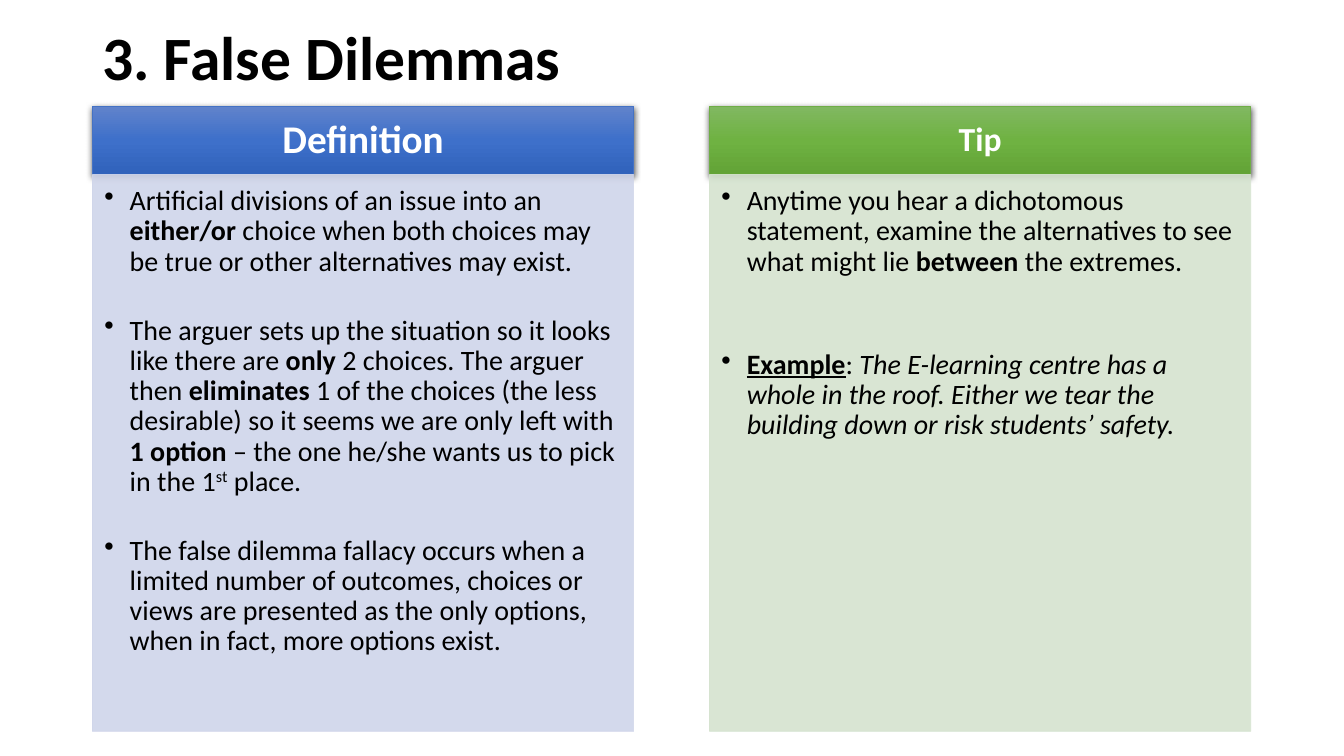
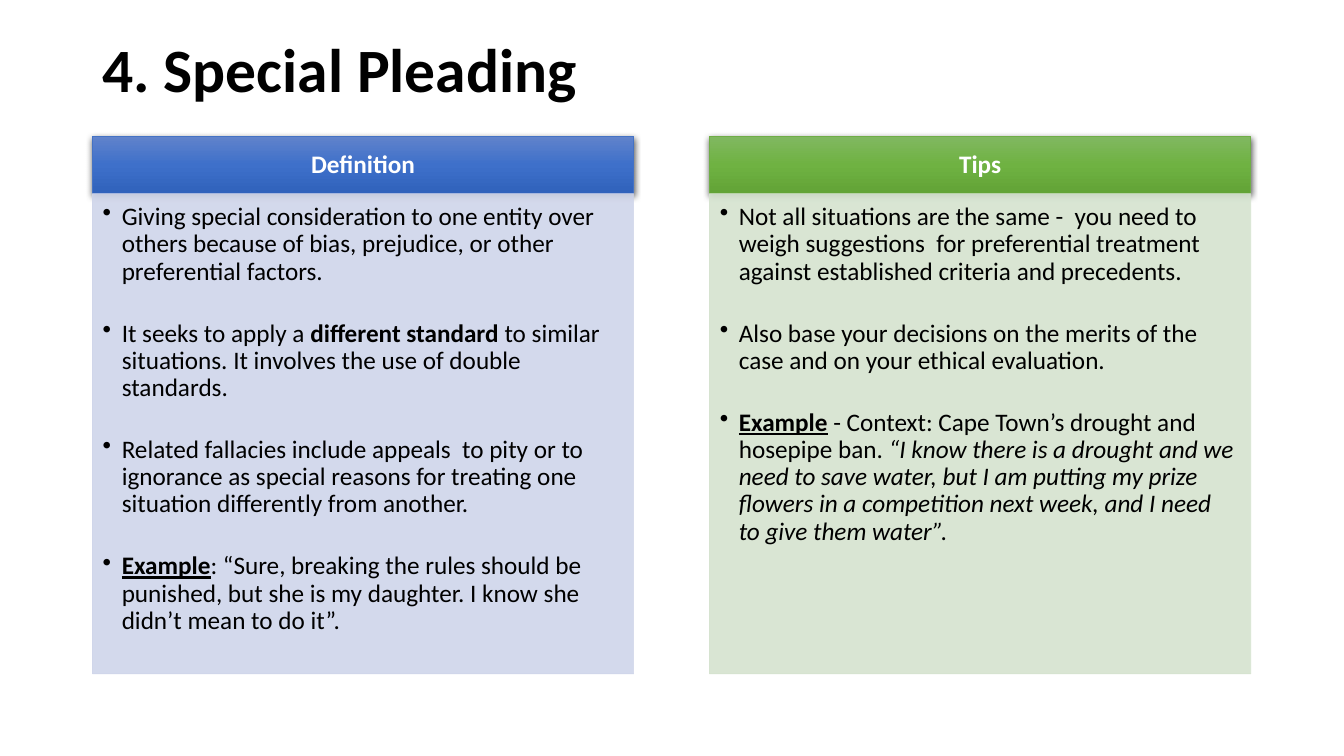
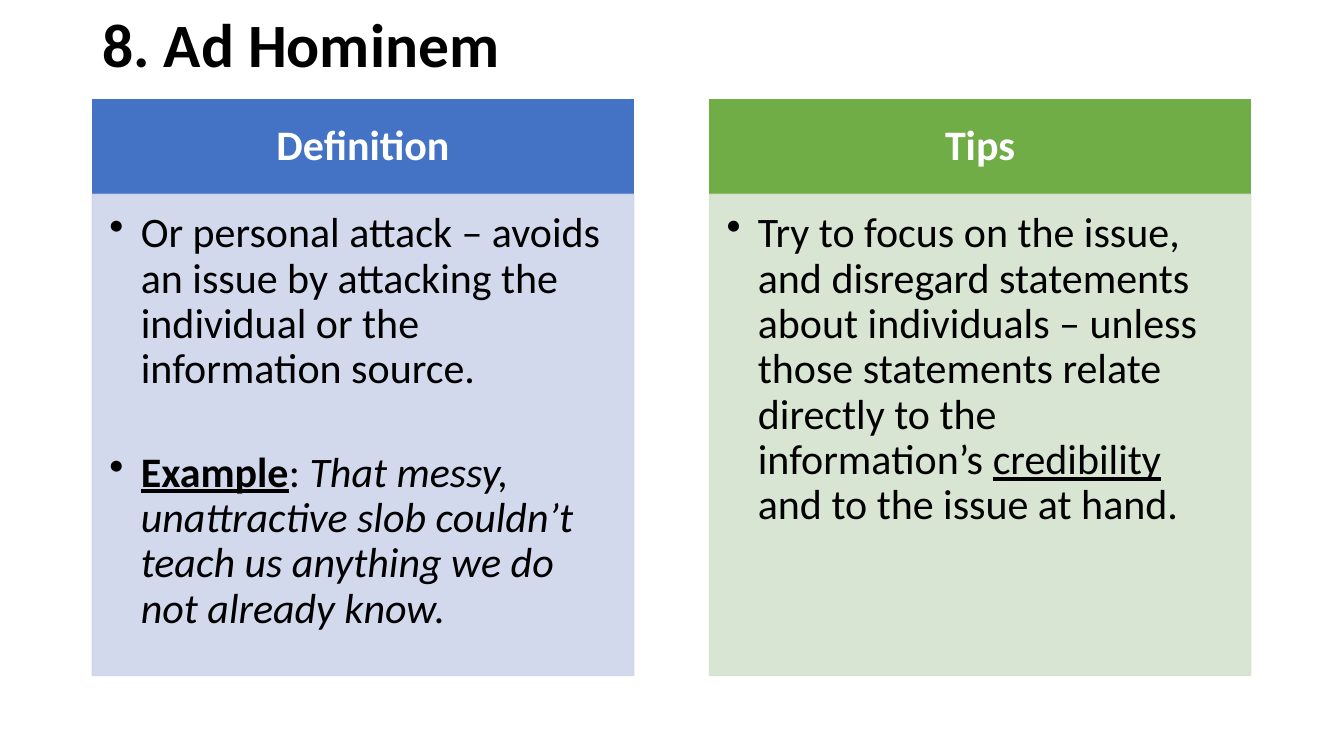
"""Builds three slides that set a fallacy's definition beside tips for spotting it."""
from copy import deepcopy

from lxml import etree
from pptx import Presentation
from pptx.dml.color import RGBColor
from pptx.enum.shapes import MSO_SHAPE
from pptx.enum.text import MSO_ANCHOR, PP_ALIGN
from pptx.oxml.ns import qn
from pptx.util import Cm, Pt

RECTANGLE = MSO_SHAPE.RECTANGLE
TOP, MIDDLE = MSO_ANCHOR.TOP, MSO_ANCHOR.MIDDLE
LEFT, CENTER = PP_ALIGN.LEFT, PP_ALIGN.CENTER

BLUE = {"main": "4472C4", "pale": "CFD5EA", "shades": ("6183CB", "3E70CA", "3062BB")}
GREEN = {"main": "70AD47", "pale": "D5E3CF", "shades": ("81B861", "6FB242", "62A336")}

FORMATS = {
    "plain": {},
    "bold": {"bold": True},
    "italic": {"italic": True},
    "underline": {"underline": True},
    "label": {"bold": True, "underline": True},
    "superscript": {},
}


def color(hex_code):
    return RGBColor.from_string(hex_code)


def add_xml(parent, tag, **attributes):
    return etree.SubElement(parent, qn(tag), attributes)


class Deck:
    FONT = "Calibri"
    BLACK, WHITE = "000000", "FFFFFF"
    MARGIN, COLUMN_WIDTH, COLUMN_STEP = 2.33, 13.64, 15.55
    TITLE_WIDTH, TITLE_SIZE = 29.21, 44
    LINE_SPACING = 0.9

    def __init__(self):
        self.presentation = Presentation()
        self.presentation.slide_width = Cm(33.87)
        self.presentation.slide_height = Cm(19.05)
        self.slide = None

    def new_slide(self, title, top, height):
        self.slide = self.presentation.slides.add_slide(self.presentation.slide_layouts[6])
        heading = self.slide.shapes.add_textbox(
            Cm(self.MARGIN), Cm(top), Cm(self.TITLE_WIDTH), Cm(height))
        self.frame(heading, MIDDLE)
        self.add_runs(heading.text_frame.paragraphs[0], [(title, "bold")],
                      self.TITLE_SIZE, self.BLACK)

    def frame(self, shape, anchor, **margins):
        settings = {"word_wrap": True, "vertical_anchor": anchor, **margins}
        for name, value in settings.items():
            setattr(shape.text_frame, name, value)

    def add_runs(self, paragraph, parts, size, text_color, align=LEFT):
        paragraph.alignment = align
        paragraph.line_spacing = self.LINE_SPACING
        for part in parts:
            text, style = (part, "plain") if isinstance(part, str) else part
            run = paragraph.add_run()
            run.text = text
            settings = {"name": self.FONT, "size": Pt(size), **FORMATS[style]}
            for name, value in settings.items():
                setattr(run.font, name, value)
            run.font.color.rgb = color(text_color)
            if style == "superscript":
                run.font._element.set("baseline", "30000")

    def panel(self, left, top, height, fill, line_width):
        panel = self.slide.shapes.add_shape(
            RECTANGLE, Cm(left), Cm(top), Cm(self.COLUMN_WIDTH), Cm(height))
        panel.shadow.inherit = False
        panel.fill.solid()
        panel.fill.fore_color.rgb = color(fill)
        panel.line.color.rgb = color(fill)
        panel.line.width = Pt(line_width)
        return panel

    def shade(self, panel, shades):
        panel.fill.gradient()
        panel.fill.gradient_angle = 270
        properties = panel._element.spPr
        stops = properties.find(".//" + qn("a:gsLst"))
        stops.insert(1, deepcopy(stops[0]))
        for index, (stop, shade) in enumerate(zip(panel.fill.gradient_stops, shades)):
            stop.position = index / 2
            stop.color.rgb = color(shade)
        shadow = add_xml(properties.find(qn("a:effectLst")), "a:outerShdw",
                         blurRad=str(Pt(4.5)), dist=str(Pt(1.5)), dir="5400000",
                         algn="ctr", rotWithShape="0")
        add_xml(add_xml(shadow, "a:srgbClr", val=self.BLACK), "a:alpha", val="63000")

    def header(self, text, left, palette, size, layout):
        band = self.panel(left, layout["top"], layout["header"], palette["main"], layout["line"])
        if layout["shaded"]:
            self.shade(band, palette["shades"])
        self.frame(band, MIDDLE)
        self.add_runs(band.text_frame.paragraphs[0], [(text, "bold")], size, self.WHITE, CENTER)

    def bullets(self, items, left, palette, gap, layout):
        body = self.panel(left, layout["top"] + layout["header"], layout["body"],
                          palette["pale"], layout["line"])
        for tint in body._element.spPr.iter(qn("a:srgbClr")):
            add_xml(tint, "a:alpha", val="90000")
        inset, indent, size = layout["inset"], Cm(layout["indent"]), layout["size"]
        self.frame(body, TOP, margin_left=Cm(inset), margin_top=Cm(inset),
                   margin_right=Cm(inset * 4 / 3), margin_bottom=Cm(inset * 3 / 2))
        for index, parts in enumerate(items):
            paragraph = body.text_frame.paragraphs[0] if index == 0 \
                else body.text_frame.add_paragraph()
            properties = paragraph._p.get_or_add_pPr()
            properties.set("marL", str(indent))
            properties.set("indent", str(-indent))
            add_xml(properties, "a:buChar", char="•")
            if index:
                paragraph.space_before = Pt(round(size * gap, 1))
            self.add_runs(paragraph, parts, size, self.BLACK)

    def columns(self, columns, layout):
        for index, (column, palette) in enumerate(zip(columns, (BLUE, GREEN))):
            left = self.MARGIN + index * self.COLUMN_STEP
            self.header(column["heading"], left, palette,
                        column.get("heading_size", layout["size"]), layout)
            self.bullets(column["items"], left, palette, column.get("gap", 1.38), layout)

    def save(self):
        self.presentation.save("out.pptx")


FALLACIES = [
    {
        "title": ("3. False Dilemmas", 0, 3.07),
        "layout": {"top": 2.68, "header": 1.72, "body": 14.03, "size": 20, "inset": 0.3,
                   "indent": 0.64, "line": 0.5, "shaded": True},
        "columns": [
            {"heading": "Definition", "heading_size": 28, "items": [
                ["Artificial divisions of an issue into an ", ("either/or", "bold"),
                 " choice when both choices may be true or other alternatives may exist."],
                ["The arguer sets up the situation so it looks like there are ",
                 ("only", "bold"), " 2 choices. The arguer then ", ("eliminates", "bold"),
                 " 1 of the choices (the less desirable) so it seems we are only left with ",
                 ("1 option ", "bold"), "– the one he/she wants us to pick in the 1",
                 ("st", "superscript"), " place."],
                ["The false dilemma fallacy occurs when a limited number of outcomes, choices "
                 "or views are presented as the only options, when in fact, more options exist."],
            ]},
            {"heading": "Tip", "heading_size": 24, "gap": 2.6, "items": [
                ["Anytime you hear a dichotomous statement, examine the alternatives to see "
                 "what might lie ", ("between", "bold"), " the extremes."],
                [("Example", "label"), ": ",
                 ("The E-learning centre has a whole in the roof. Either we tear the building "
                  "down or risk students’ safety.", "italic")],
            ]},
        ],
    },
    {
        "title": ("4. Special Pleading", 0.43, 2.82),
        "layout": {"top": 3.43, "header": 1.45, "body": 12.1, "size": 18, "inset": 0.26,
                   "indent": 0.48, "line": 0.5, "shaded": True},
        "columns": [
            {"heading": "Definition", "items": [
                ["Giving special consideration to one entity over others because of bias, "
                 "prejudice, or other preferential factors."],
                ["It seeks to apply a ", ("different standard ", "bold"),
                 "to similar situations. It involves the use of double standards."],
                ["Related fallacies include appeals  to pity or to ignorance as special reasons "
                 "for treating one situation differently from another."],
                [("Example", "label"),
                 ": “Sure, breaking the rules should be punished, but she is my daughter. "
                 "I know she didn’t mean to do it”."],
            ]},
            {"heading": "Tips", "items": [
                ["Not all situations are the same -  you need to weigh suggestions  for "
                 "preferential treatment against established criteria and precedents."],
                ["Also base your decisions on the merits of the case and on your ethical "
                 "evaluation."],
                [("Example", "label"), " - Context: Cape Town’s drought and hosepipe ban. ",
                 ("“I know there is a drought and we need to save water, but I am putting my "
                  "prize flowers in a competition next week, and I need to give them water”.",
                  "italic")],
            ]},
        ],
    },
    {
        "title": ("8. Ad Hominem", 0, 2.39),
        "layout": {"top": 2.51, "header": 2.39, "body": 12.12, "size": 30, "inset": 0.43,
                   "indent": 0.79, "line": 1, "shaded": False},
        "columns": [
            {"heading": "Definition", "items": [
                ["Or personal attack – avoids an issue by attacking the individual or the "
                 "information source."],
                [("Example", "label"), ": ",
                 ("That messy, unattractive slob couldn’t teach us anything we do not already "
                  "know.", "italic")],
            ]},
            {"heading": "Tips", "items": [
                ["Try to focus on the issue, and disregard statements about individuals – "
                 "unless those statements relate directly to the information’s ",
                 ("credibility", "underline"), " and to the issue at hand."],
            ]},
        ],
    },
]


def main():
    deck = Deck()
    for fallacy in FALLACIES:
        deck.new_slide(*fallacy["title"])
        deck.columns(fallacy["columns"], fallacy["layout"])
    deck.save()


if __name__ == "__main__":
    main()
